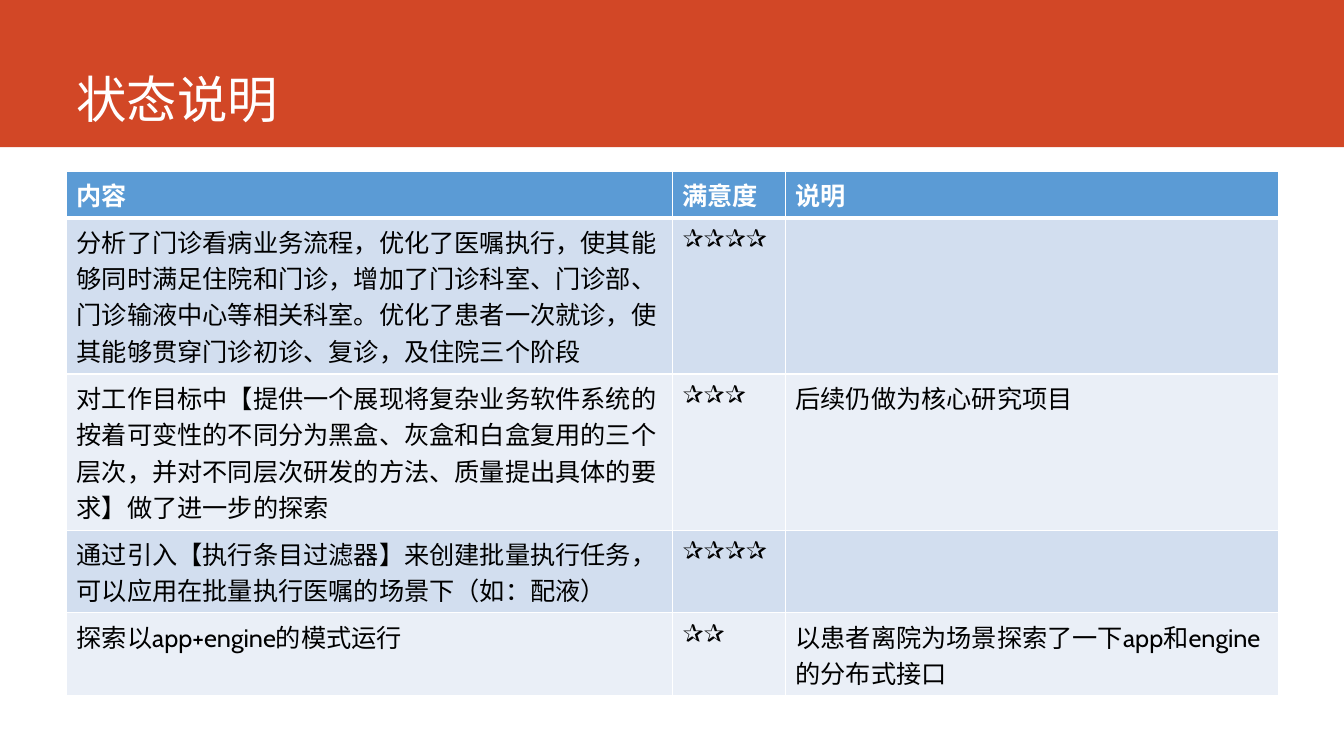
from lxml import etree
from pptx import Presentation
from pptx.dml.color import RGBColor
from pptx.enum.shapes import MSO_SHAPE
from pptx.enum.text import MSO_ANCHOR
from pptx.oxml.ns import qn
from pptx.util import Inches, Pt

RECTANGLE = MSO_SHAPE.RECTANGLE
BOTTOM = MSO_ANCHOR.BOTTOM

COLORS = {
    "banner": "D24726",
    "header": "5B9BD5",
    "odd_row": "D2DEEF",
    "even_row": "EAEFF7",
    "white": "FFFFFF",
    "black": "000000",
}
LATIN_FONT = "Cabin"
CJK_FONT = "Noto Sans CJK SC"

COLUMN_WIDTHS = [6.01, 1.12, 4.89]
ROW_HEIGHTS = [0.46, 1.55, 1.55, 0.82, 0.82]
STATUS_ROWS = [
    ("内容", "满意度", "说明"),
    ("分析了门诊看病业务流程，优化了医嘱执行，使其能够同时满足住院和门诊，"
     "增加了门诊科室、门诊部、门诊输液中心等相关科室。优化了患者一次就诊，"
     "使其能够贯穿门诊初诊、复诊，及住院三个阶段", "✰✰✰✰", ""),
    ("对工作目标中【提供一个展现将复杂业务软件系统的按着可变性的不同分为黑盒、"
     "灰盒和白盒复用的三个层次，并对不同层次研发的方法、质量提出具体的要求】"
     "做了进一步的探索", "✰✰✰", "后续仍做为核心研究项目"),
    ("通过引入【执行条目过滤器】来创建批量执行任务，"
     "可以应用在批量执行医嘱的场景下（如：配液）", "✰✰✰✰", ""),
    ("探索以app+engine的模式运行", "✰✰",
     "以患者离院为场景探索了一下app和engine的分布式接口"),
]


class StatusSlide:
    def __init__(self, slide):
        self.slide = slide

    def color(self, name):
        return RGBColor.from_string(COLORS[name])

    def fill(self, target, name):
        target.fill.solid()
        target.fill.fore_color.rgb = self.color(name)

    def format_text(self, frame, size, color, font, bold=False):
        for paragraph in frame.paragraphs:
            for run in paragraph.runs:
                run.font.size = Pt(size)
                run.font.bold = bold
                run.font.color.rgb = self.color(color)
                run.font.name = font
                east_asian = etree.SubElement(run.font._element, qn("a:ea"))
                east_asian.set("typeface", CJK_FONT)

    def banner(self, left, top, width, height):
        band = self.slide.shapes.add_shape(
            RECTANGLE, Inches(left), Inches(top), Inches(width), Inches(height))
        band.shadow.inherit = False
        self.fill(band, "banner")
        band.line.fill.background()

    def title(self, text, left, top, width, height):
        heading = self.slide.shapes.add_textbox(
            Inches(left), Inches(top), Inches(width), Inches(height))
        frame = heading.text_frame
        frame.word_wrap = True
        frame.vertical_anchor = BOTTOM
        frame.text = text
        self.format_text(frame, 36, "white", CJK_FONT)

    def borders(self, cell, widths):
        properties = cell._tc.get_or_add_tcPr()
        for position, (side, width) in enumerate(widths.items()):
            line = etree.Element(qn(f"a:ln{side}"), w=str(Pt(width)))
            solid = etree.SubElement(line, qn("a:solidFill"))
            etree.SubElement(solid, qn("a:srgbClr"), val=COLORS["white"])
            properties.insert(position, line)

    def table(self, rows, left, top, column_widths, row_heights):
        status = self.slide.shapes.add_table(
            len(rows), len(column_widths), Inches(left), Inches(top),
            Inches(sum(column_widths)), Inches(sum(row_heights))).table
        for column, width in zip(status.columns, column_widths):
            column.width = Inches(width)
        for row, height in zip(status.rows, row_heights):
            row.height = Inches(height)
        for r, texts in enumerate(rows):
            is_header = r == 0
            band = "header" if is_header else "odd_row" if r % 2 else "even_row"
            for c, text in enumerate(texts):
                cell = status.cell(r, c)
                self.fill(cell, band)
                self.borders(cell, {"L": 1, "R": 1, "T": 3 if r == 1 else 1,
                                    "B": 3 if is_header else 1})
                if text:
                    cell.text_frame.text = text
                    self.format_text(cell.text_frame, 18,
                                     "white" if is_header else "black",
                                     LATIN_FONT, is_header)


def main():
    presentation = Presentation()
    presentation.slide_width = Inches(13.33)
    presentation.slide_height = Inches(7.5)
    page = StatusSlide(
        presentation.slides.add_slide(presentation.slide_layouts[6]))

    # Title banner
    page.banner(0, 0, 13.33, 1.46)
    page.title("状态说明", 0.66, 0, 11.76, 1.32)

    # Status table
    page.table(STATUS_ROWS, 0.66, 1.7, COLUMN_WIDTHS, ROW_HEIGHTS)

    presentation.save("out.pptx")


if __name__ == "__main__":
    main()
